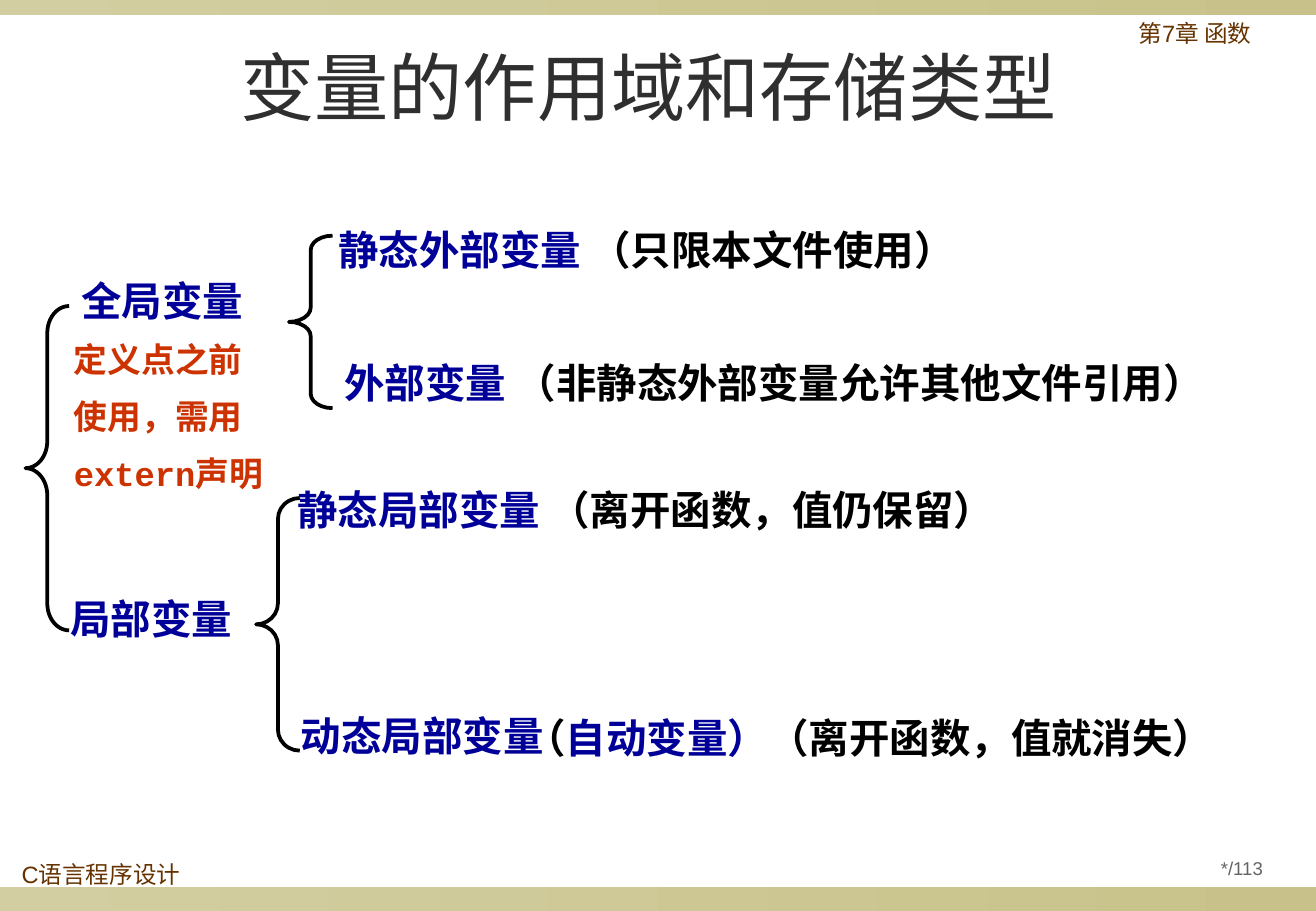
from dataclasses import dataclass

from pptx import Presentation
from pptx.dml.color import RGBColor
from pptx.enum.shapes import MSO_SHAPE as Preset
from pptx.enum.text import MSO_ANCHOR as Anchor, PP_ALIGN as Align
from pptx.oxml.ns import qn
from pptx.util import Emu, Pt
from lxml.etree import SubElement

PX = 9144  # one px is a hundredth of an inch
WIDTH, HEIGHT = 1084, 750


@dataclass(frozen=True)
class Style:
    size: int
    color: str
    font: str = "Arial"
    bold: bool = False


@dataclass(frozen=True)
class Theme:
    cjk: str = "Noto Sans CJK SC"
    black: str = "000000"
    navy: str = "000099"
    bar_start: str = "D3CEA1"
    bar_end: str = "C8C28A"
    title: Style = Style(44, "2F2F2F")
    margin: Style = Style(14, "663300")
    page: Style = Style(11, "636363")
    term: Style = Style(24, "000099", "Noto Sans CJK SC", True)
    note: Style = Style(20, "CC3300", "Courier New", True)


THEME = Theme()


def px(*lengths):
    return [Emu(length * PX) for length in lengths]


def rgb(value):
    return RGBColor.from_string(value)


def write_paragraph(paragraph, runs, style, align=Align.LEFT):
    """Write (text, colour) runs; a colour of None keeps that of the style."""
    paragraph.alignment = align
    paragraph.line_spacing = 0.9
    font = paragraph.font
    font.size, font.bold, font.name = Pt(style.size), style.bold, style.font
    font.color.rgb = rgb(style.color)
    defaults = paragraph._p.pPr.find(qn("a:defRPr"))
    SubElement(defaults, qn("a:ea")).set("typeface", THEME.cjk)
    for text, color in runs:
        run = paragraph.add_run()
        run.text = text
        if color:
            run.font.color.rgb = rgb(color)


def set_frame(frame, anchor=Anchor.TOP, side=10):
    frame.word_wrap = True
    frame.vertical_anchor = anchor
    frame.margin_left, frame.margin_right = px(side, side)
    frame.margin_top, frame.margin_bottom = px(5, 5)


def add_text(slide, box, lines, style, align=Align.LEFT, **frame_options):
    frame = slide.shapes.add_textbox(*px(*box)).text_frame
    set_frame(frame, **frame_options)
    for index, runs in enumerate(lines):
        paragraph = frame.add_paragraph() if index else frame.paragraphs[0]
        write_paragraph(paragraph, runs, style, align)
        if index:
            paragraph.space_before = Pt(6)
        if len(lines) > 1:
            paragraph.space_after = Pt(6)


def add_term(slide, left, top, width, *runs):
    add_text(slide, (left, top, width, 46), [runs], THEME.term)


def add_bar(slide, top, height):
    bar = slide.shapes.add_shape(Preset.RECTANGLE, *px(0, top, WIDTH, height))
    bar.shadow.inherit = False
    bar.line.fill.background()
    bar.fill.gradient()
    bar.fill.gradient_angle = 0
    for stop, color in zip(bar.fill.gradient_stops, (THEME.bar_start, THEME.bar_end)):
        stop.color.rgb = rgb(color)


def add_brace(slide, left, top, height, width=36):
    brace = slide.shapes.add_shape(Preset.LEFT_BRACE, *px(left, top, width, height))
    brace.shadow.inherit = False
    brace.fill.background()
    brace.line.color.rgb = rgb(THEME.black)
    brace.line.width = Pt(2.25)
    brace.adjustments[0] = height / 12 / width  # each curve is a twelfth of the height


def set_title(slide, text):
    title = slide.shapes.title
    title.left, title.top, title.width, title.height = px(47, 37, 975, 125)
    set_frame(title.text_frame)
    write_paragraph(title.text_frame.paragraphs[0], [(text, None)], THEME.title, Align.CENTER)


def main():
    presentation = Presentation()
    presentation.slide_width, presentation.slide_height = px(WIDTH, HEIGHT)
    slide = presentation.slides.add_slide(presentation.slide_layouts[5])

    # Frame of the page
    add_bar(slide, 730, 20)
    add_bar(slide, 0, 12)
    add_text(slide, (8, 706, 160, 32), [[("C语言程序设计", None)]], THEME.margin)
    add_text(slide, (928, 13, 156, 39), [[("第7章 函数", None)]], THEME.margin)
    add_text(slide, (969, 700, 108, 31), [[("*/113", None)]], THEME.page,
             Align.CENTER, anchor=Anchor.MIDDLE, side=5)
    set_title(slide, "变量的作用域和存储类型")

    # Braces: all variables, global, local
    for left, top, height in ((21, 252, 267), (238, 194, 142), (211, 410, 208)):
        add_brace(slide, left, top, height)

    # Global variables
    add_term(slide, 57, 227, 172, ("全局变量", None))
    note = ("定义点之前", "使用，需用", "extern声明")
    add_text(slide, (51, 278, 208, 133), [[(line, None)] for line in note], THEME.note)
    add_term(slide, 269, 185, 722, ("静态外部变量", None), (" （只限本文件使用）", THEME.black))
    add_term(slide, 274, 294, 780, ("外部变量", None),
             (" （非静态外部变量允许其他文件引用）", THEME.black))

    # Local variables
    add_term(slide, 48, 489, 172, ("局部变量", None))
    add_term(slide, 235, 399, 695, ("静态局部变量", None), (" （离开函数，值仍保留）", THEME.black))
    add_term(slide, 238, 585, 244, ("动态局部变量", None))
    add_term(slide, 423, 587, 621, ("（", THEME.black), ("自动变量）", None),
             ("（离开函数，值就消失）", THEME.black))

    presentation.save("out.pptx")


if __name__ == "__main__":
    main()
